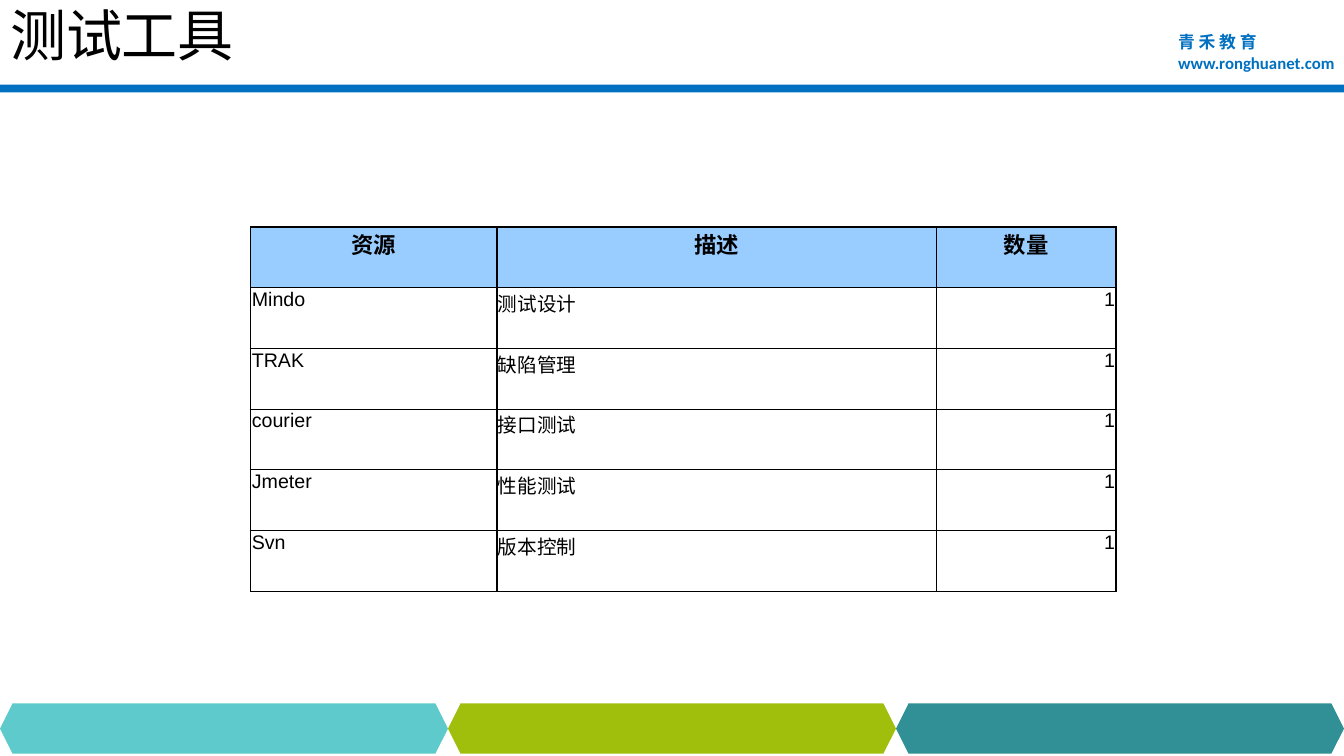
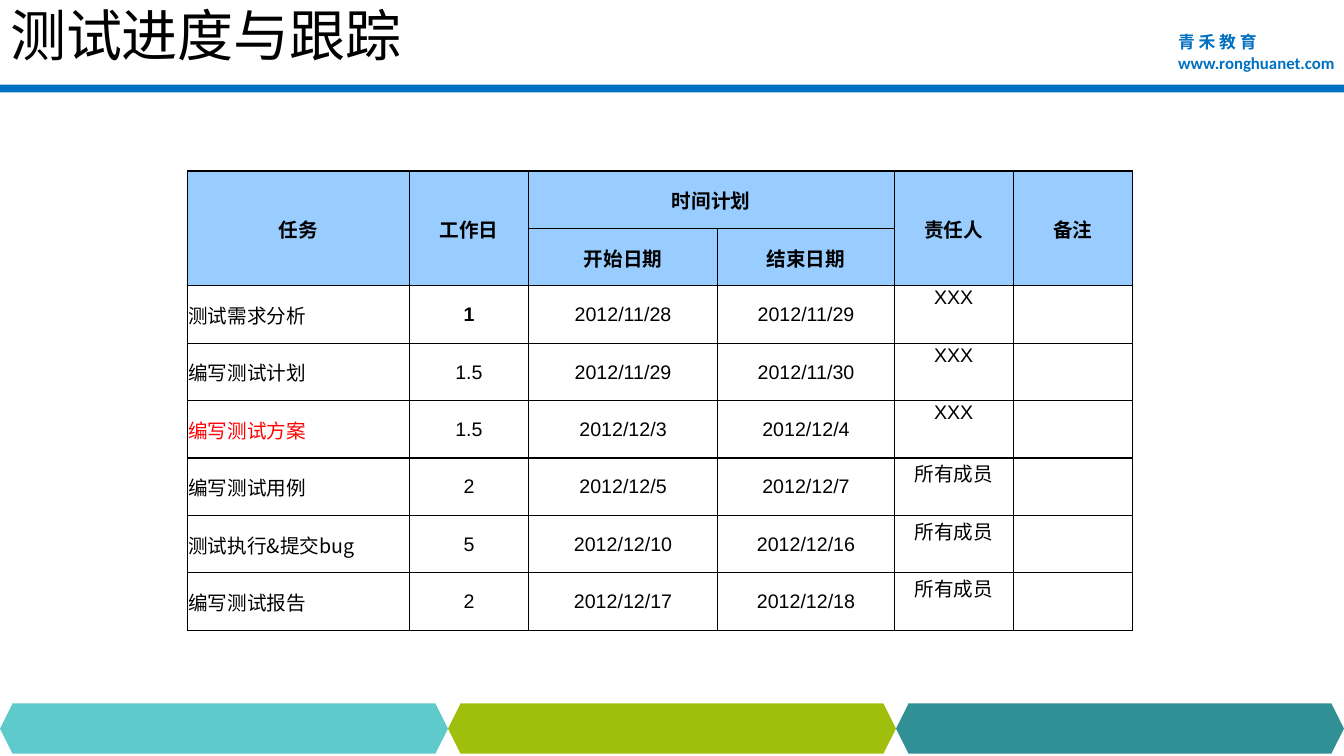
from dataclasses import dataclass

from lxml import etree
from pptx import Presentation
from pptx.dml.color import RGBColor
from pptx.enum.shapes import MSO_SHAPE
from pptx.enum.text import MSO_ANCHOR, MSO_AUTO_SIZE, PP_ALIGN
from pptx.oxml.ns import qn
from pptx.util import Pt

LEFT, CENTER, RIGHT = PP_ALIGN.LEFT, PP_ALIGN.CENTER, PP_ALIGN.RIGHT
TOP, MIDDLE = MSO_ANCHOR.TOP, MSO_ANCHOR.MIDDLE
RECTANGLE, HEXAGON = MSO_SHAPE.RECTANGLE, MSO_SHAPE.HEXAGON
NO_AUTOFIT = MSO_AUTO_SIZE.NONE


@dataclass(frozen=True)
class Theme:
    black: str = "000000"
    red: str = "FF0000"
    blue: str = "0070C0"
    header: str = "99CCFF"
    footer: tuple = ("5FCACB", "A0BF0D", "319095")
    latin: str = "Arial"
    chinese: str = "Noto Sans CJK SC"
    web: str = "Calibri"
    title: float = 40
    heading: float = 16
    body: float = 14
    brand: float = 12
    border: float = 1


THEME = Theme()
SLIDE_WIDTH, SLIDE_HEIGHT = 960, 540

# Content
BRAND_LINES = [("青 禾 教 育", THEME.chinese), ("www.ronghuanet.com", THEME.web)]

TOOLS = {
    "title": "测试工具",
    "origin": (179.2, 162.2),
    "columns": [175.8, 313.8, 128.4],
    "row_height": 43.35,
    "header_rows": 1,
    "header_size": THEME.heading,
    "aligns": [LEFT, LEFT, RIGHT],
    "anchors": [TOP] * 3,
    "merges": [],
    "accents": {},
    "rows": [
        ("资源", "描述", "数量"),
        ("Mindo", "测试设计", "1"),
        ("TRAK", "缺陷管理", "1"),
        ("courier", "接口测试", "1"),
        ("Jmeter", "性能测试", "1"),
        ("Svn", "版本控制", "1"),
    ],
}

SCHEDULE = {
    "title": "测试进度与跟踪",
    "origin": (133.8, 122.2),
    "columns": [158.8, 84.8, 135.4, 126, 85, 85],
    "row_height": 41,
    "header_rows": 2,
    "header_size": THEME.body,
    "aligns": [LEFT] + [CENTER] * 5,
    "anchors": [MIDDLE] * 4 + [TOP] * 2,
    # First and last cell of each merged heading, as (row, column)
    "merges": [((0, 2), (0, 3))] + [((0, c), (1, c)) for c in (0, 1, 4, 5)],
    "accents": {(2, 1): {"bold": True}, (4, 0): {"color": THEME.red}},
    "rows": [
        ("任务", "工作日", "时间计划", "", "责任人", "备注"),
        ("", "", "开始日期", "结束日期", "", ""),
        ("测试需求分析", "1", "2012/11/28", "2012/11/29", "XXX", ""),
        ("编写测试计划", "1.5", "2012/11/29", "2012/11/30", "XXX", ""),
        ("编写测试方案", "1.5", "2012/12/3", "2012/12/4", "XXX", ""),
        ("编写测试用例", "2", "2012/12/5", "2012/12/7", "所有成员", ""),
        ("测试执行&提交bug", "5", "2012/12/10", "2012/12/16", "所有成员", ""),
        ("编写测试报告", "2", "2012/12/17", "2012/12/18", "所有成员", ""),
    ],
}


# Text and shape helpers
def set_all(target, values):
    for name, value in values.items():
        setattr(target, name, value)


def write(para, text, size, font, color=THEME.black, bold=False, align=LEFT):
    para.alignment = align
    span = para.add_run()
    span.text = text
    set_all(span.font, {"size": Pt(size), "name": font, "bold": bold})
    span.font.color.rgb = RGBColor.from_string(color)
    # The East Asian typeface follows the Latin one
    latin = span.font._element.find(qn("a:latin"))
    east_asian = etree.Element(qn("a:ea"), typeface=THEME.chinese)
    latin.addnext(east_asian)


def add_block(slide, kind, left, top, width, height, color):
    block = slide.shapes.add_shape(kind, Pt(left), Pt(top), Pt(width), Pt(height))
    block.shadow.inherit = False
    block.fill.solid()
    block.fill.fore_color.rgb = RGBColor.from_string(color)
    block.line.fill.background()
    return block


# Shared band, brand name and footer, kept on the layout
def decorate_layout(layout, slide):
    parts = [add_block(slide, RECTANGLE, 0, 60.4, SLIDE_WIDTH, 5.6, THEME.blue)]

    box = slide.shapes.add_textbox(Pt(834.4), Pt(19.4), Pt(131), Pt(36))
    box.text_frame.word_wrap = False
    for index, (text, font) in enumerate(BRAND_LINES):
        frame = box.text_frame
        para = frame.add_paragraph() if index else frame.paragraphs[0]
        write(para, text, THEME.brand, font, THEME.blue, bold=True)
    parts.append(box)

    step = SLIDE_WIDTH / len(THEME.footer)
    for index, color in enumerate(THEME.footer):
        parts.append(add_block(slide, HEXAGON, index * step, 502.4, step, 36, color))

    for part in parts:
        layout.element.cSld.spTree.append(part.element)


def set_title(slide, text):
    title = slide.shapes.title
    set_all(title, {"left": Pt(0), "top": Pt(-0.7), "width": Pt(720), "height": Pt(50.4)})
    frame = title.text_frame
    set_all(frame, {"vertical_anchor": MIDDLE, "word_wrap": True,
                    "auto_size": NO_AUTOFIT, "margin_top": 0, "margin_bottom": 0})
    write(frame.paragraphs[0], text, THEME.title, THEME.latin)


# Tables
def add_borders(cell):
    properties = cell._tc.get_or_add_tcPr()
    for side in ("lnL", "lnR", "lnT", "lnB"):
        line = etree.SubElement(properties, qn(f"a:{side}"), w=str(Pt(THEME.border)))
        fill = etree.SubElement(line, qn("a:solidFill"))
        etree.SubElement(fill, qn("a:srgbClr"), val=THEME.black)


def fill_cell(cell, text, row, column, content):
    is_header = row < content["header_rows"]
    add_borders(cell)
    if is_header:
        cell.fill.solid()
        cell.fill.fore_color.rgb = RGBColor.from_string(THEME.header)
    else:
        cell.fill.background()
    set_all(cell, {"margin_left": Pt(0.7), "margin_right": Pt(0.7),
                   "margin_top": Pt(0.7), "margin_bottom": 0,
                   "vertical_anchor": content["anchors"][column]})
    if is_header and content["merges"]:
        cell.vertical_anchor = MIDDLE
    if text:
        style = {
            "size": content["header_size"] if is_header else THEME.body,
            "font": THEME.latin if text.isascii() else THEME.chinese,
            "bold": is_header,
            "align": CENTER if is_header else content["aligns"][column],
        }
        style.update(content["accents"].get((row, column), {}))
        write(cell.text_frame.paragraphs[0], text, **style)


def add_grid(slide, content):
    rows, columns = content["rows"], content["columns"]
    left, top = content["origin"]
    height = content["row_height"]
    table = slide.shapes.add_table(
        len(rows), len(columns), Pt(left), Pt(top),
        Pt(sum(columns)), Pt(height * len(rows))).table
    set_all(table, {"first_row": False, "horz_banding": False})
    for column, width in zip(table.columns, columns):
        column.width = Pt(width)
    for row, texts in enumerate(rows):
        table.rows[row].height = Pt(height)
        for column, text in enumerate(texts):
            fill_cell(table.cell(row, column), text, row, column, content)
    for first, last in content["merges"]:
        table.cell(*first).merge(table.cell(*last))


def main():
    deck = Presentation()
    set_all(deck, {"slide_width": Pt(SLIDE_WIDTH), "slide_height": Pt(SLIDE_HEIGHT)})
    layout = deck.slide_layouts.get_by_name("Title Only")
    for index, content in enumerate((TOOLS, SCHEDULE)):
        slide = deck.slides.add_slide(layout)
        if index == 0:
            decorate_layout(layout, slide)
        set_title(slide, content["title"])
        add_grid(slide, content)
    deck.save("out.pptx")


if __name__ == "__main__":
    main()
